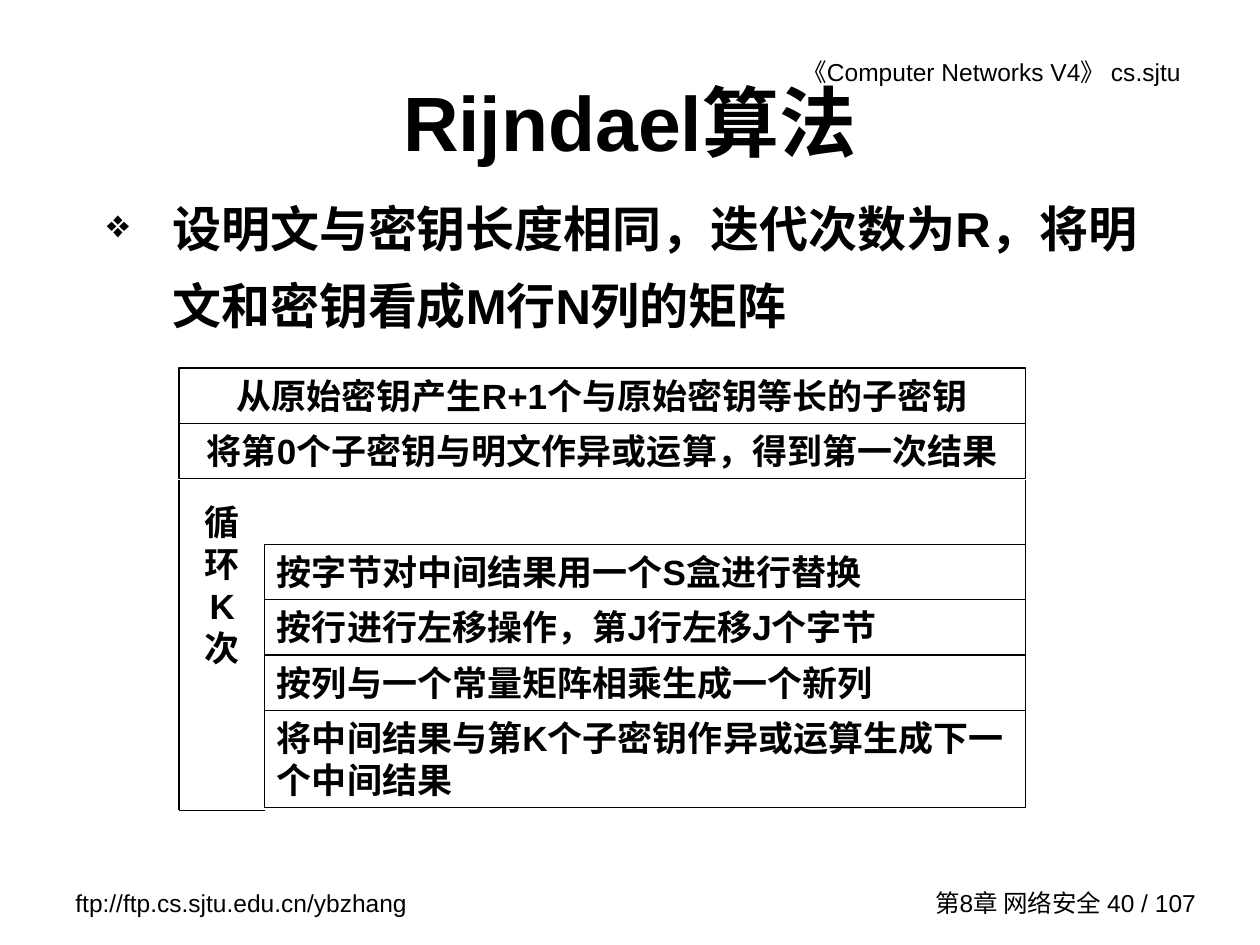
"""Build the slide on the Rijndael algorithm with its nested step diagram."""
from lxml import etree
from pptx import Presentation
from pptx.dml.color import RGBColor
from pptx.enum.shapes import MSO_CONNECTOR, MSO_SHAPE
from pptx.enum.text import MSO_ANCHOR, PP_ALIGN
from pptx.oxml.ns import qn
from pptx.util import Emu, Pt

LEFT, CENTER, RIGHT = PP_ALIGN.LEFT, PP_ALIGN.CENTER, PP_ALIGN.RIGHT
TOP, MIDDLE = MSO_ANCHOR.TOP, MSO_ANCHOR.MIDDLE
RECTANGLE, STRAIGHT = MSO_SHAPE.RECTANGLE, MSO_CONNECTOR.STRAIGHT
PX = 9144
COLORS = {"ink": "000000"}
INK = RGBColor.from_string(COLORS["ink"])


def px(*lengths):
    return [Emu(length * PX) for length in lengths]


def write(holder, text, size, bold=True, align=LEFT, anchor=TOP):
    frame = holder.text_frame
    frame.word_wrap = True
    frame.vertical_anchor = anchor
    frame.margin_left, frame.margin_top, frame.margin_right, frame.margin_bottom = px(10, 5, 10, 5)
    paragraph = frame.paragraphs[0]
    paragraph.text = text
    paragraph.alignment = align
    paragraph.font.name = "Arial"
    paragraph.font.size = Pt(size)
    paragraph.font.bold = bold
    paragraph.font.color.rgb = INK
    return paragraph


prs = Presentation()
prs.slide_width, prs.slide_height = px(1000, 750)
slide = prs.slides.add_slide(prs.slide_layouts[5])
shapes = slide.shapes

title = shapes.title
title.left, title.top, title.width, title.height = px(75, 33, 850, 125)
write(title, "Rijndael算法", 44, align=CENTER, anchor=MIDDLE)

course = shapes.add_textbox(*px(522, 40, 436, 34))
write(course, "《Computer Networks V4》 cs.sjtu", 14, False, RIGHT)
course.text_frame.margin_right = px(21)[0]
site = shapes.add_textbox(*px(50, 700, 292, 34))
write(site, "ftp://ftp.cs.sjtu.edu.cn/ybzhang", 14, False)
chapter = shapes.add_textbox(*px(718, 700, 241, 33))
write(chapter, "第8章 网络安全 40 / 107", 14, False, RIGHT, MIDDLE)

premise_box = shapes.add_textbox(*px(75, 139, 850, 152))
premise_box.text_frame.text = ""
premise_format = premise_box.text_frame.paragraphs[0]._p.get_or_add_pPr()
premise_format.set("marL", str(52 * PX))
premise_format.set("indent", str(-52 * PX))
bullet_color = etree.SubElement(premise_format, qn("a:buClr"))
etree.SubElement(bullet_color, qn("a:srgbClr"), val=COLORS["ink"])
etree.SubElement(premise_format, qn("a:buSzPct"), val="80000")
etree.SubElement(premise_format, qn("a:buChar"), char="❖")
premise = write(premise_box, "设明文与密钥长度相同，迭代次数为R，将明文和密钥看成M行N列的矩阵", 28)
premise.line_spacing = 1.3

OUTER_LEFT, LOOP_LEFT, DIAGRAM_RIGHT = 142, 210, 814
SETUP_TOP, LOOP_TOP, STEPS_TOP, DIAGRAM_BOTTOM = 292, 381, 432, 643
ROW_HEIGHT, LAST_HEIGHT = 44, 77

setup_steps = [
    "从原始密钥产生R+1个与原始密钥等长的子密钥",
    "将第0个子密钥与明文作异或运算，得到第一次结果",
]
loop_steps = [
    "按字节对中间结果用一个S盒进行替换",
    "按行进行左移操作，第J行左移J个字节",
    "按列与一个常量矩阵相乘生成一个新列",
    "将中间结果与第K个子密钥作异或运算生成下一个中间结果",
]
for steps, left, top, align in [
    (setup_steps, OUTER_LEFT, SETUP_TOP, CENTER),
    (loop_steps, LOOP_LEFT, STEPS_TOP, LEFT),
]:
    for index, step in enumerate(steps):
        height = LAST_HEIGHT if step == loop_steps[-1] else ROW_HEIGHT
        row = shapes.add_shape(
            RECTANGLE, *px(left, top + index * ROW_HEIGHT, DIAGRAM_RIGHT - left, height)
        )
        row.shadow.inherit = False
        row.fill.background()
        row.line.color.rgb = INK
        row.line.width = Pt(0.75)
        write(row, step, 20, align=align)

loop_label = shapes.add_textbox(*px(143, 392, 67, 144))
write(loop_label, "循环K次", 20, align=CENTER)

for ends in [
    (OUTER_LEFT, LOOP_TOP, OUTER_LEFT, DIAGRAM_BOTTOM),
    (LOOP_LEFT, DIAGRAM_BOTTOM, OUTER_LEFT, DIAGRAM_BOTTOM),
    (DIAGRAM_RIGHT, LOOP_TOP, DIAGRAM_RIGHT, STEPS_TOP),
]:
    loop_edge = shapes.add_connector(STRAIGHT, *px(*ends))
    loop_edge.line.color.rgb = INK
    loop_edge.line.width = Pt(0.75)
    etree.SubElement(loop_edge._element.spPr, qn("a:effectLst"))

prs.save("out.pptx")
